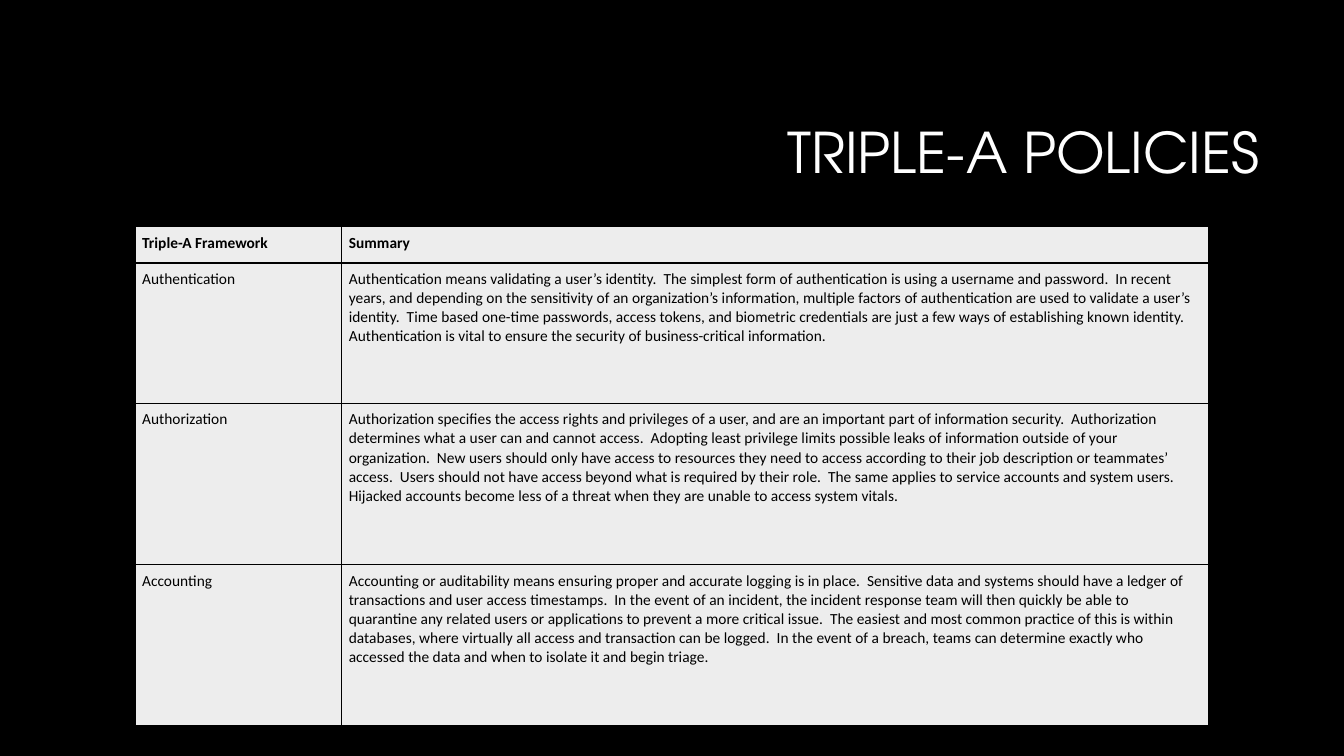
from dataclasses import dataclass

from lxml import etree
from pptx import Presentation
from pptx import util as u
from pptx.dml.color import RGBColor
from pptx.enum import text
from pptx.oxml import ns
from pptx.slide import Slide
from pptx.table import _Cell
from pptx.text.text import TextFrame

PX_PER_INCH = 100
COLOURS = {"black": "000000", "white": "FFFFFF", "cell": "EDEDED"}
COLUMN_WIDTHS = (205, 860)


@dataclass(frozen=True)
class PolicyRow:
    name: str
    summary: str
    height: int
    bold: bool = False


ROWS = (
    PolicyRow("Triple-A Framework", "Summary", 36, bold=True),
    PolicyRow(
        "Authentication",
        "Authentication means validating a user’s identity.  The simplest form of "
        "authentication is using a username and password.  In recent years, and depending "
        "on the sensitivity of an organization’s information, multiple factors of "
        "authentication are used to validate a user’s identity.  Time based one-time "
        "passwords, access tokens, and biometric credentials are just a few ways of "
        "establishing known identity.  Authentication is vital to ensure the security of "
        "business-critical information.",
        139,
    ),
    PolicyRow(
        "Authorization",
        "Authorization specifies the access rights and privileges of a user, and are an "
        "important part of information security.  Authorization determines what a user can "
        "and cannot access.  Adopting least privilege limits possible leaks of information "
        "outside of your organization.  New users should only have access to resources they "
        "need to access according to their job description or teammates’ access.  Users "
        "should not have access beyond what is required by their role.  The same applies to "
        "service accounts and system users.  Hijacked accounts become less of a threat when "
        "they are unable to access system vitals.",
        160,
    ),
    PolicyRow(
        "Accounting",
        "Accounting or auditability means ensuring proper and accurate logging is in place.  "
        "Sensitive data and systems should have a ledger of transactions and user access "
        "timestamps.  In the event of an incident, the incident response team will then "
        "quickly be able to quarantine any related users or applications to prevent a more "
        "critical issue.  The easiest and most common practice of this is within databases, "
        "where virtually all access and transaction can be logged.  In the event of a breach, "
        "teams can determine exactly who accessed the data and when to isolate it and begin "
        "triage.",
        160,
    ),
)


def px(length: int) -> u.Emu:
    return u.Emu(length * u.Inches(1) // PX_PER_INCH)


def colour(name: str) -> RGBColor:
    return RGBColor.from_string(COLOURS[name])


def write(frame: TextFrame, words: str, *, size: int, font: str, ink: str,
          bold: bool = False, align: text.PP_ALIGN = text.PP_ALIGN.LEFT,
          spacing: float = 1.0) -> None:
    para = frame.paragraphs[0]
    para.alignment = align
    para.line_spacing = spacing
    span = para.add_run()
    span.text = words
    span.font.size = u.Pt(size)
    span.font.name = font
    span.font.bold = bold
    span.font.color.rgb = colour(ink)


def add_borders(cell: _Cell) -> None:
    properties = cell._tc.get_or_add_tcPr()
    for position, side in enumerate(("lnL", "lnR", "lnT", "lnB")):
        line = etree.Element(ns.qn(f"a:{side}"), w=str(u.Pt(1)))
        fill = etree.SubElement(line, ns.qn("a:solidFill"))
        etree.SubElement(fill, ns.qn("a:srgbClr"), val=COLOURS["black"])
        properties.insert(position, line)


def draw_cell(cell: _Cell, words: str, bold: bool) -> None:
    cell.margin_left = cell.margin_right = px(7)
    cell.margin_top = cell.margin_bottom = px(7)
    cell.fill.solid()
    cell.fill.fore_color.rgb = colour("cell")
    add_borders(cell)
    write(cell.text_frame, words, size=11, font="Calibri", ink="black", bold=bold)


def draw_title(page: Slide) -> None:
    title = page.shapes.title
    title.left, title.top, title.width, title.height = map(px, (317, 84, 942, 141))
    frame = title.text_frame
    frame.word_wrap = True
    frame.auto_size = text.MSO_AUTO_SIZE.NONE
    frame.vertical_anchor = text.MSO_ANCHOR.MIDDLE
    frame.margin_left = frame.margin_right = px(10)
    frame.margin_top = frame.margin_bottom = px(5)
    write(frame, "TRIPLE-A POLICIES", size=40, font="TeX Gyre Adventor", ink="white",
          align=text.PP_ALIGN.RIGHT, spacing=0.9)


def draw_policies(page: Slide) -> None:
    height = sum(row.height for row in ROWS)
    frame = page.shapes.add_table(len(ROWS), len(COLUMN_WIDTHS), px(134), px(225),
                                  px(sum(COLUMN_WIDTHS)), px(height))
    table = frame.table
    table.horz_banding = False
    table.first_row = False
    for column, width in zip(table.columns, COLUMN_WIDTHS):
        column.width = px(width)
    for line, policy in zip(table.rows, ROWS):
        line.height = px(policy.height)
        for cell, words in zip(line.cells, (policy.name, policy.summary)):
            draw_cell(cell, words, policy.bold)


def main() -> None:
    deck = Presentation()
    deck.slide_width, deck.slide_height = px(1333), px(750)
    page = deck.slides.add_slide(deck.slide_layouts[5])
    page.background.fill.solid()
    page.background.fill.fore_color.rgb = colour("black")
    draw_title(page)
    draw_policies(page)
    deck.save("out.pptx")


if __name__ == "__main__":
    main()
